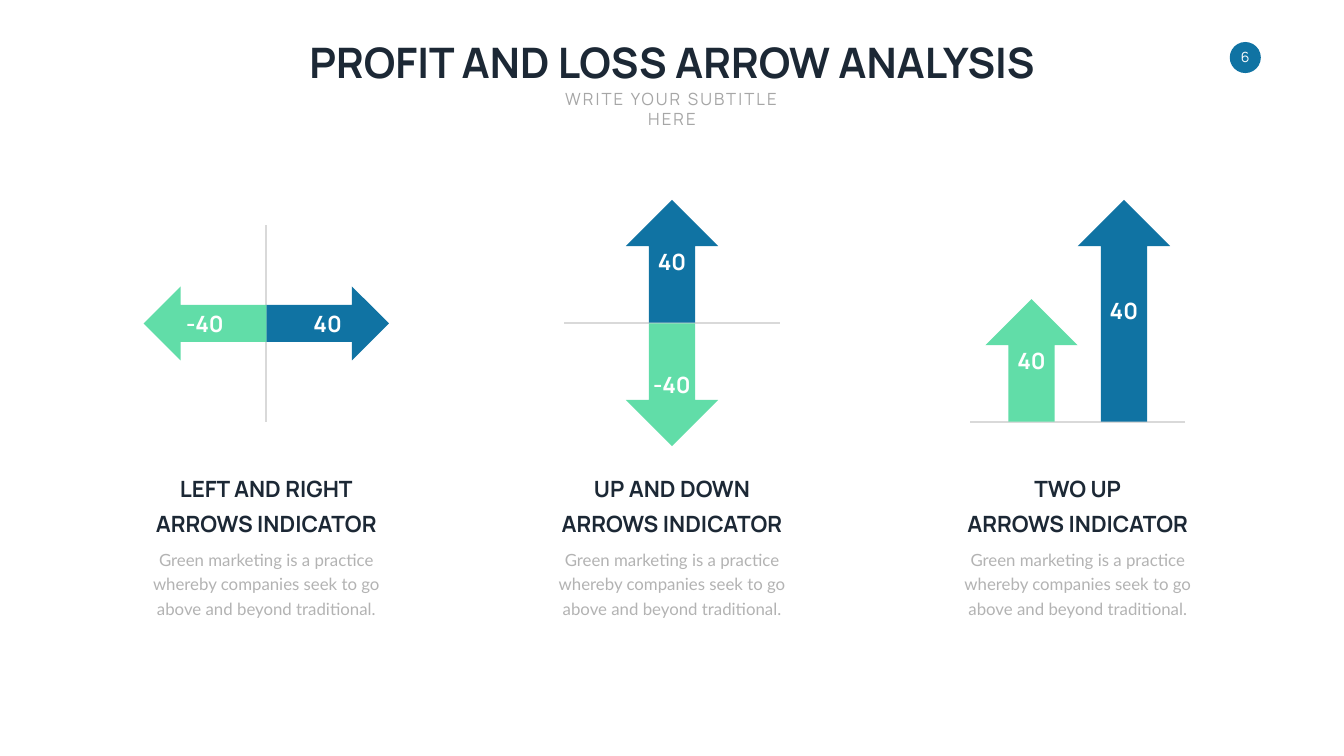
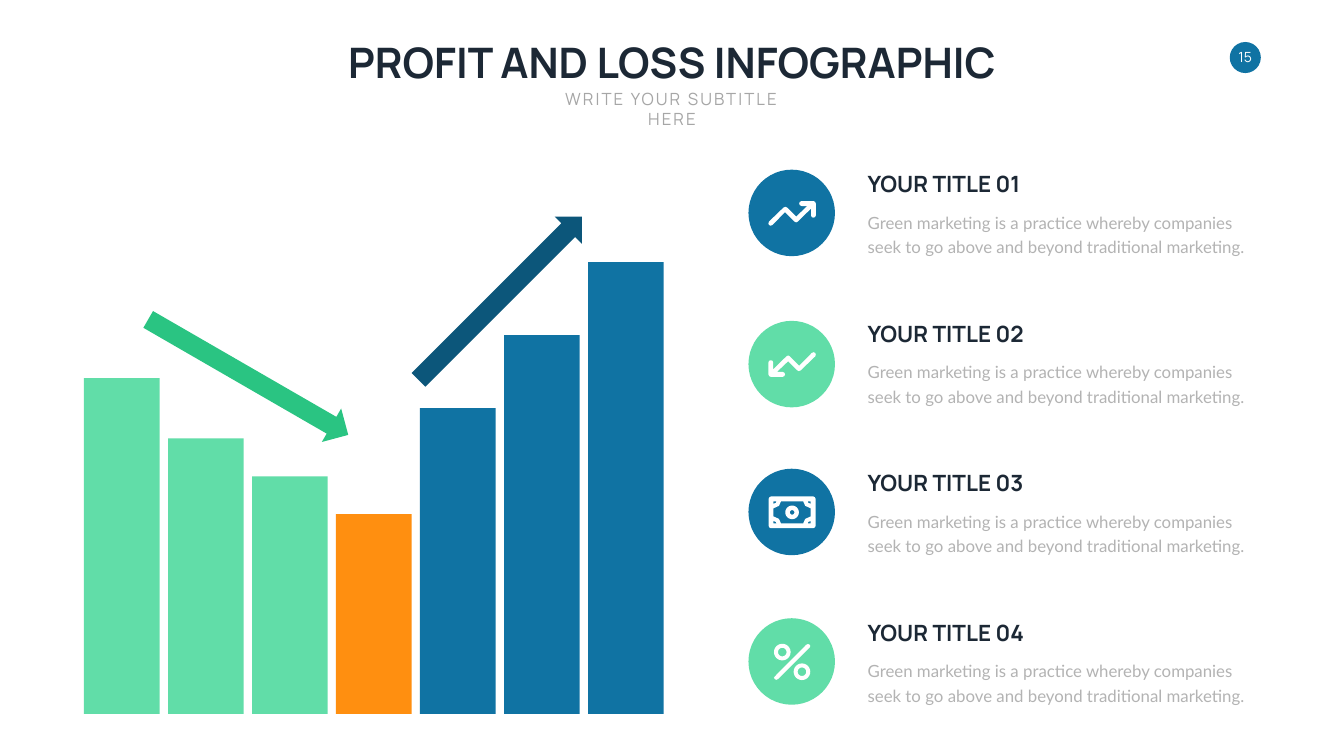
import math
import lxml.etree
import pptx
import pptx.util
import pptx.dml.color
import pptx.enum.shapes
import pptx.enum.text
import pptx.oxml.ns

COLORS = {
    "blue": "1073A3", "navy": "0C567A", "mint": "61DDA8", "green": "2AC482",
    "orange": "FF8F10", "dark": "1C2835", "subtitle": "A6A6A6",
    "body": "B3B3B3", "line": "D9D9D9", "white": "FFFFFF",
}
MSO = pptx.enum.shapes.MSO_SHAPE
ANCHOR = pptx.enum.text.MSO_ANCHOR
ALIGN = pptx.enum.text.PP_ALIGN
Pt = pptx.util.Pt

STYLES = {
    "title": {"font": {"name": "Manrope", "size": Pt(60), "bold": True}, "color": "dark"},
    "subtitle": {"font": {"name": "Manrope", "size": Pt(24)}, "color": "subtitle", "spc": "300"},
    "number": {"font": {"name": "Manrope", "size": Pt(20)}, "color": "white",
               "frame": {"vertical_anchor": ANCHOR.MIDDLE, "margin_left": 0, "margin_right": 0,
                         "margin_top": 0, "margin_bottom": 0}},
    "label": {"font": {"name": "Manrope", "size": Pt(32), "bold": True}, "color": "white",
              "frame": {"vertical_anchor": ANCHOR.BOTTOM}},
    "heading": {"font": {"name": "Manrope", "size": Pt(32), "bold": True}, "color": "dark",
                "frame": {"vertical_anchor": ANCHOR.BOTTOM},
                "para": {"line_spacing": Pt(50)}},
    "item": {"font": {"name": "Manrope", "size": Pt(32), "bold": True}, "color": "dark",
             "frame": {"vertical_anchor": ANCHOR.BOTTOM}, "para": {"alignment": ALIGN.LEFT}},
    "body": {"font": {"name": "Lato", "size": Pt(24)}, "color": "body",
             "frame": {"word_wrap": True},
             "para": {"line_spacing": Pt(35), "space_before": Pt(4.8)}},
    "item body": {"font": {"name": "Lato", "size": Pt(24)}, "color": "body",
                  "frame": {"word_wrap": True},
                  "para": {"line_spacing": Pt(35), "space_before": Pt(4.8),
                           "alignment": ALIGN.LEFT}},
}

prs = pptx.Presentation()
prs.slide_width = pptx.util.Inches(26.66)
prs.slide_height = pptx.util.Inches(15)
col = prs.slide_width / 16
row = prs.slide_height / 9


def add_shape(s, kind, x, y, w, h, color, rotation=0):
    sp = s.shapes.add_shape(kind, round(x * col), round(y * row), round(w * col), round(h * row))
    sp.shadow.inherit = False
    sp.fill.solid()
    sp.fill.fore_color.rgb = pptx.dml.color.RGBColor.from_string(COLORS[color])
    sp.line.fill.background()
    sp.rotation = rotation
    return sp


def add_text(s, text, x, y, w, h, style):
    fmt = STYLES[style]
    sp = s.shapes.add_textbox(round(x * col), round(y * row), round(w * col), round(h * row))
    tf = sp.text_frame
    frame = {"word_wrap": False, "auto_size": pptx.enum.text.MSO_AUTO_SIZE.SHAPE_TO_FIT_TEXT}
    for key, value in {**frame, **fmt.get("frame", {})}.items():
        setattr(tf, key, value)
    for i, line in enumerate(text.split("\n")):
        p = tf.add_paragraph() if i else tf.paragraphs[0]
        for key, value in {"alignment": ALIGN.CENTER, **fmt.get("para", {})}.items():
            setattr(p, key, value)
        r = p.add_run()
        r.text = line
        for key, value in fmt["font"].items():
            setattr(r.font, key, value)
        r.font.color.rgb = pptx.dml.color.RGBColor.from_string(COLORS[fmt["color"]])
        if "spc" in fmt:
            r._r.get_or_add_rPr().set("spc", fmt["spc"])


slides = []
for title, width, number in [("PROFIT AND LOSS ARROW ANALYSIS", 9.13, "6"),
                             ("PROFIT AND LOSS INFOGRAPHIC", 8.1, "15")]:
    s = prs.slides.add_slide(prs.slide_layouts[6])
    add_shape(s, MSO.OVAL, 14.64, 0.5, 0.37, 0.37, "blue")
    add_text(s, number, 14.7, 0.58, 0.25, 0.2, "number")
    add_text(s, title, 8 - width / 2, 0.4, width, 0.67, "title")
    add_text(s, "WRITE YOUR SUBTITLE HERE", 6.37, 1.03, 3.26, 0.3, "subtitle")
    slides.append(s)

s = slides[0]
centers = [3.17, 8, 12.83]
axis, base, top = 3.85, 5.02, 2.38
long, wide, flat, half = 1.46, 1.1, 0.88, 1.28

for x, name in zip(centers, ["LEFT AND RIGHT", "UP AND DOWN", "TWO UP"]):
    add_text(s, name + "\nARROWS INDICATOR", x - 1.45, 5.54, 2.9, 0.88, "heading")
    add_text(s, "Green marketing is a practice whereby companies seek to go above and "
             "beyond traditional.", x - 1.46, 6.46, 2.92, 0.91, "body")

left, mid, right = centers
for x1, y1, x2, y2 in [(left, 2.68, left, base),
                       (mid + half, axis, mid - half, axis),
                       (right + half, base, right - half, base)]:
    cn = s.shapes.add_connector(pptx.enum.shapes.MSO_CONNECTOR.STRAIGHT, round(x1 * col),
                                round(y1 * row), round(x2 * col), round(y2 * row))
    cn.line.color.rgb = pptx.dml.color.RGBColor.from_string(COLORS["line"])
    cn.line.width = Pt(3)
    lxml.etree.SubElement(cn._element.spPr, pptx.oxml.ns.qn("a:effectLst"))

for kind, x, y, w, h, color, label in [
    (MSO.RIGHT_ARROW, left, axis - flat / 2, long, flat, "blue", "40"),
    (MSO.LEFT_ARROW, left - long, axis - flat / 2, long, flat, "mint", "-40"),
    (MSO.UP_ARROW, mid - wide / 2, top, wide, long, "blue", "40"),
    (MSO.DOWN_ARROW, mid - wide / 2, axis, wide, long, "mint", "-40"),
    (MSO.UP_ARROW, right - wide, base - long, wide, long, "mint", "40"),
    (MSO.UP_ARROW, right, top, wide, base - top, "blue", "40"),
]:
    add_shape(s, kind, x, y, w, h, color)
    label_w = 0.48 if label == "40" else 0.64
    add_text(s, label, x + (w - label_w) / 2, y + h / 2 - 0.19, label_w, 0.38, "label")

s = slides[1]
bars = [(4, "mint"), (3.28, "mint"), (2.83, "mint"), (2.38, "orange"),
        (3.64, "blue"), (4.51, "blue"), (5.38, "blue")]
for i, (h, color) in enumerate(bars):
    add_shape(s, MSO.RECTANGLE, 1 + i, 8.5 - h, 0.9, h, color)
add_shape(s, MSO.RIGHT_ARROW, 1.58, 4.26, 2.75, 0.46, "green", 30)
add_shape(s, MSO.RIGHT_ARROW, 4.58, 3.32, 2.75, 0.46, "navy", 315)

circle = [(math.cos(math.radians(a)), math.sin(math.radians(a))) for a in range(0, 360, 15)]
rise = [(19, -24.5), (42, -24.5), (45.5, -23), (47, -19.5), (47, 4), (45.5, 7.5), (42, 8.5),
        (39, 7.5), (37.5, 4), (37.5, -9.5), (11, 16.5), (8, 18), (5, 16.5), (-14, -2.5),
        (-39, 23), (-42.5, 24.5), (-46, 23), (-47, 20), (-46, 16.5), (-17, -11.5),
        (-13.5, -13), (-10, -11.5), (8, 6.5), (30, -14.5), (19, -14.5), (15.5, -16),
        (14, -19.5), (15.5, -23)]
fall = [(-x, -y) for x, y in rise]
note = [[(-42, -31.5), (42, -31.5), (45, -30), (46.5, -27), (46.5, 27), (45, 30), (42, 31.5),
         (-42, 31.5), (-45, 30), (-46.5, 27), (-46.5, -27), (-45, -30)],
        [(-22, -22), (-26, -13), (-37, -8), (-37, 8), (-26, 13), (-22, 22),
         (22, 22), (26, 13), (37, 8), (37, -8), (26, -13), (22, -22)]]
note += [[(i * x, j * y) for x, y in [(31, 22), (32, 19), (37, 17), (37, 22)]]
         for i in (-1, 1) for j in (-1, 1)]
note += [[(r * x, r * y) for x, y in circle] for r in (13.5, 4.5)]
percent = [[(28, -34), (31.5, -35.5), (35, -34), (36, -31.5), (35, -29), (-28, 34),
            (-31.5, 35.5), (-34.5, 34), (-36, 31.5), (-34.5, 29)]]
percent += [[(c + r * x, c + r * y) for x, y in circle] for c in (-19.5, 19.5) for r in (16.5, 8.5)]

hundredth = pptx.util.Inches(0.01)
items = [(2.54, 1.94, "blue", [rise]), (4.34, 1.99, "mint", [fall]),
         (6.1, 2, "blue", note), (7.88, 2.02, "mint", percent)]
for i, (y, w, color, icon) in enumerate(items):
    text_y = 2 + 1.78 * i
    add_text(s, f"YOUR TITLE 0{i + 1}", 10.27, text_y, w, 0.38, "item")
    add_text(s, "Green marketing is a practice whereby companies seek to go above and "
             "beyond traditional marketing.", 10.27, text_y + 0.45, 4.73, 0.62, "item body")
    add_shape(s, MSO.OVAL, 9.43 - 0.52, y - 0.52, 1.03, 1.03, color)
    fb = None
    for contour in icon:
        pts = [(round(px * hundredth), round(py * hundredth)) for px, py in contour]
        if fb is None:
            fb = s.shapes.build_freeform(*pts[0])
        else:
            fb.move_to(*pts[0])
        fb.add_line_segments(pts[1:], close=True)
    sp = fb.convert_to_shape(round(9.43 * col), round(y * row))
    sp.shadow.inherit = False
    sp.fill.solid()
    sp.fill.fore_color.rgb = pptx.dml.color.RGBColor.from_string(COLORS["white"])
    sp.line.fill.background()

prs.save("out.pptx")
